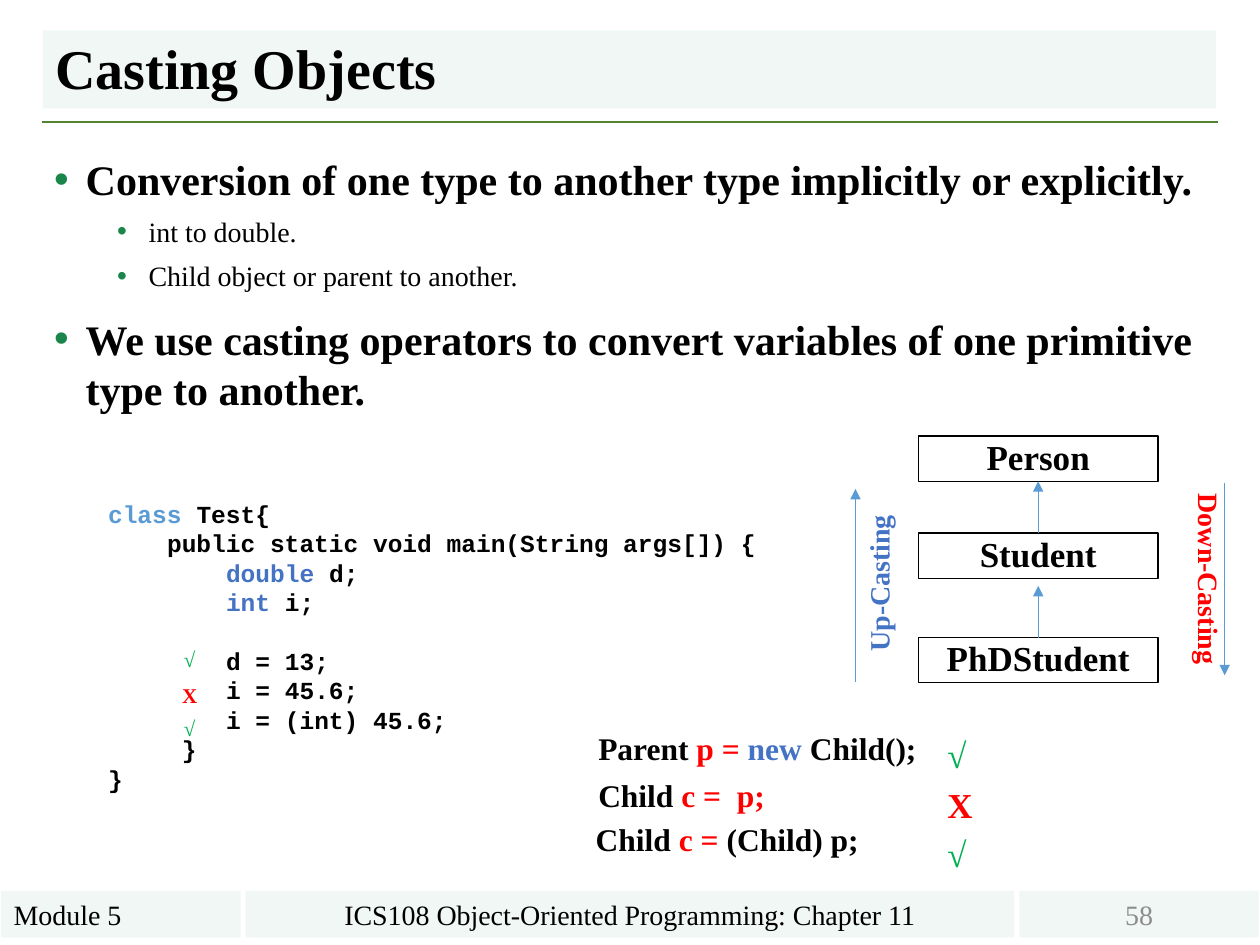
from dataclasses import dataclass
from typing import NamedTuple

from lxml.etree import SubElement
from pptx import Presentation
from pptx.dml.color import RGBColor
from pptx.enum.shapes import MSO_CONNECTOR as Link, MSO_SHAPE as Preset
from pptx.enum.text import MSO_ANCHOR as Anchor, MSO_AUTO_SIZE as AutoSize, PP_ALIGN as Align
from pptx.oxml.ns import qn
from pptx.util import Inches, Pt

CELL = 0.1
CODE_COLUMN = 0.117
SERIF, MONO = "Times New Roman", "Courier New"
COLORS = {
    "black": "000000", "grey": "8C8C8C", "red": "FF0000", "green": "00B050",
    "keyword": "4472C4", "sky": "5B9BD5", "band": "F1F7F4", "rule": "548235",
    "bullet": "1A864B",
}
YES, NO = ("√", "green"), ("X", "red")


class Box(NamedTuple):
    left: float
    top: float
    width: float
    height: float


@dataclass
class Line:
    runs: list
    size: float = 16
    bold: bool = True
    align: Align = Align.LEFT
    before: float = 0
    spacing: float = 1.0
    margin: float = 0
    hanging: float = 0
    level: int = 0
    font: str = SERIF


@dataclass
class Label:
    box: Box
    lines: list
    fill: str = ""
    border: str = ""
    anchor: Anchor = Anchor.TOP
    wrap: bool = True
    vert: str = ""


@dataclass
class Arrow:
    start: tuple
    end: tuple
    color: str = "sky"
    width: float = 0.5
    head: bool = True


def cells(values) -> list:
    return [Inches(value * CELL) for value in values]


def rgb(name: str) -> RGBColor:
    return RGBColor.from_string(COLORS[name])


def apply(target, formats: dict) -> None:
    for key, value in formats.items():
        setattr(target, key, value)


def place(shape, box: Box) -> None:
    apply(shape, dict(zip(("left", "top", "width", "height"), cells(box))))


def write(frame, lines: list, anchor: Anchor = Anchor.TOP, wrap: bool = True) -> None:
    apply(frame, {"auto_size": AutoSize.NONE, "vertical_anchor": anchor, "word_wrap": wrap})
    for number, line in enumerate(lines):
        paragraph = frame.add_paragraph() if number else frame.paragraphs[0]
        apply(paragraph, {"alignment": line.align, "level": line.level,
                          "space_before": Pt(line.before), "line_spacing": line.spacing})
        props = paragraph._p.get_or_add_pPr()
        props.set("marL", str(Inches(line.margin)))
        props.set("indent", str(-Inches(line.hanging)))
        if line.hanging:
            SubElement(SubElement(props, qn("a:buClr")), qn("a:srgbClr")).set("val", COLORS["bullet"])
            SubElement(props, qn("a:buChar")).set("char", "•")
        for text, color in line.runs:
            run = paragraph.add_run()
            run.text = text
            apply(run.font, {"name": line.font, "size": Pt(line.size), "bold": line.bold})
            run.font.color.rgb = rgb(color)


def add_label(slide, label: Label):
    if label.fill or label.border:
        shape = slide.shapes.add_shape(Preset.RECTANGLE, *cells(label.box))
        shape.shadow.inherit = False
    else:
        shape = slide.shapes.add_textbox(*cells(label.box))
    if label.fill:
        shape.fill.solid()
        shape.fill.fore_color.rgb = rgb(label.fill)
    else:
        shape.fill.background()
    if label.border:
        shape.line.color.rgb = rgb(label.border)
        shape.line.width = Pt(0.75)
    else:
        shape.line.fill.background()
    write(shape.text_frame, label.lines, label.anchor, label.wrap)
    if label.vert:
        shape.text_frame._txBody.bodyPr.set("vert", label.vert)
    return shape


def add_arrow(slide, arrow: Arrow):
    connector = slide.shapes.add_connector(Link.STRAIGHT, *cells(arrow.start + arrow.end))
    connector.line.color.rgb = rgb(arrow.color)
    connector.line.width = Pt(arrow.width)
    if arrow.head:
        SubElement(connector.line._get_or_add_ln(), qn("a:tailEnd")).set("type", "triangle")
    SubElement(connector._element.spPr, qn("a:effectLst"))
    return connector


def code(column: int, *runs, before: float = 0) -> Line:
    return Line(list(runs), size=14, font=MONO, margin=column * CODE_COLUMN, before=before)


def point(text: str) -> Line:
    return Line([(text, "black")], size=24, before=12, margin=0.25, hanging=0.25)


def subpoint(text: str) -> Line:
    return Line([(text, "black")], bold=False, before=6, margin=0.75, hanging=0.25, level=1)


def add_hierarchy(slide) -> None:
    person, student, phd = [
        add_label(slide, Label(Box(72.9, top, 19, 3.6),
                               [Line([(name, "black")], size=20, align=Align.CENTER, spacing=0.93)],
                               border="black", anchor=Anchor.MIDDLE, wrap=False))
        for name, top in (("Person", 34.6), ("Student", 42.3), ("PhDStudent", 50.6))
    ]
    extends_person = add_arrow(slide, Arrow((82.4, 42.3), (82.4, 38.2)))
    extends_person.begin_connect(student, 0)
    extends_person.end_connect(person, 2)
    extends_student = add_arrow(slide, Arrow((82.4, 50.6), (82.4, 46.5)))
    extends_student.begin_connect(phd, 0)
    for text, color, box, vert in (
        ("Down-Casting", "red", Box(93.1, 38.2, 4.7, 14.8), "vert"),
        ("Up-Casting", "keyword", Box(67.9, 40.7, 4.7, 12), "vert270"),
    ):
        add_label(slide, Label(box, [Line([(text, color)])], wrap=False, vert=vert))
    add_arrow(slide, Arrow((97.2, 38.3), (97.2, 53.6)))
    add_arrow(slide, Arrow((67.9, 54.1), (67.9, 38.8)))


def main() -> None:
    """Build the slide on casting objects."""
    deck = Presentation()
    deck.slide_width, deck.slide_height = Inches(10), Inches(7.5)
    slide = deck.slides.add_slide(deck.slide_layouts[1])
    title, body = slide.placeholders

    add_arrow(slide, Arrow((3.3, 9.7), (96.7, 9.7), "rule", 1.5, head=False))
    place(title, Box(3.4, 2.4, 93.1, 6.2))
    title.fill.solid()
    title.fill.fore_color.rgb = rgb("band")
    write(title.text_frame, [Line([("Casting Objects", "black")], size=32, spacing=0.9)], Anchor.BOTTOM)
    place(body, Box(3.3, 11.7, 93.3, 56.6))
    write(body.text_frame, [
        point("Conversion of one type to another type implicitly or explicitly."),
        subpoint("int to double."),
        subpoint("Child object or parent to another."),
        point("We use casting operators to convert variables of one primitive type to another."),
    ])

    for text, color, left, width, align in (
        ("Module 5", "black", 0.1, 19, Align.LEFT),
        ("ICS108 Object-Oriented Programming: Chapter 11", "black", 19.5, 61, Align.CENTER),
        ("58", "grey", 80.9, 19, Align.CENTER),
    ):
        footer = Line([(text, color)], bold=False, align=align)
        add_label(slide, Label(Box(left, 70.7, width, 3.7), [footer], fill="band", anchor=Anchor.MIDDLE))

    add_label(slide, Label(Box(7.6, 39.1, 53.6, 24.6), [
        code(0, ("class", "sky"), (" Test{", "black")),
        code(4, ("public static void main(String args[]) {", "black")),
        code(8, ("double", "keyword"), (" d;", "black")),
        code(8, ("int ", "keyword"), ("i;", "black")),
        code(8, ("d = 13;", "black"), before=16.8),
        code(8, ("i = 45.6;", "black")),
        code(8, ("i = (int) 45.6;", "black")),
        code(5, ("}", "black")),
        code(0, ("}", "black")),
    ]))

    for mark, left, top, size, align in (
        (YES, 11.7, 50.8, 12, Align.CENTER), (NO, 11.7, 53.7, 12, Align.CENTER),
        (YES, 11.7, 56.3, 12, Align.CENTER), (YES, 74.2, 57.7, 20, Align.LEFT),
        (NO, 74.2, 61.7, 20, Align.LEFT), (YES, 72.6, 65.6, 20, Align.CENTER),
    ):
        add_label(slide, Label(Box(left, top, 6.7, 4.4), [Line([mark], size=size, align=align)]))

    for box, runs in (
        (Box(46.5, 57.4, 27.3, 4), [("Parent", "black"), (" p = ", "red"), ("new ", "keyword"), ("Child();", "black")]),
        (Box(46.5, 61.1, 15.4, 4), [("Child", "black"), (" c =  p;", "red")]),
        (Box(46.3, 64.6, 23, 4), [("Child", "black"), (" c = ", "red"), ("(Child) p;", "black")]),
    ):
        add_label(slide, Label(box, [Line(runs, size=18)], wrap=False))

    add_hierarchy(slide)
    deck.save("out.pptx")


if __name__ == "__main__":
    main()
